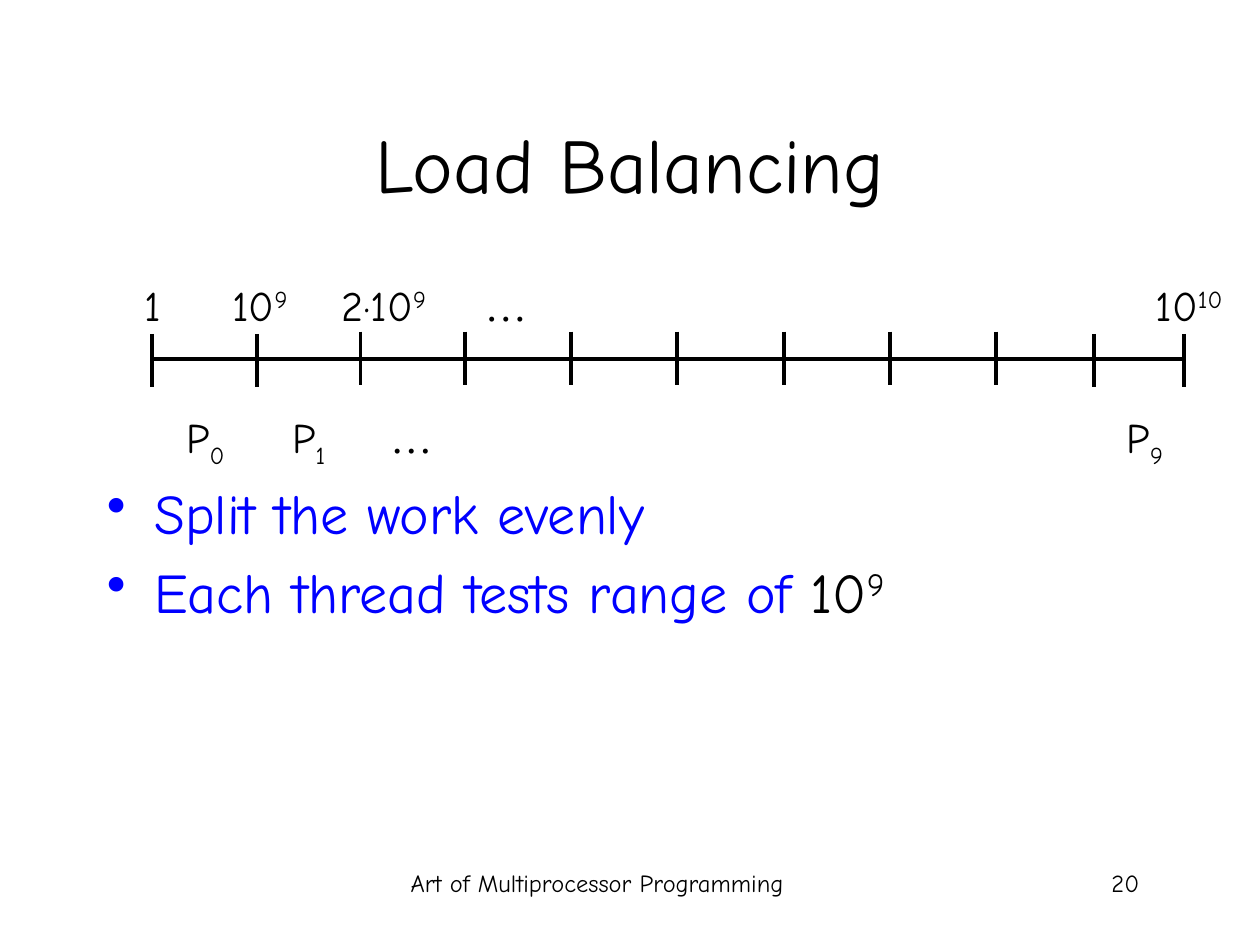
from dataclasses import dataclass

from lxml import etree
from pptx import Presentation
from pptx.dml.color import RGBColor
from pptx.enum import shapes, text
from pptx.oxml import ns
from pptx.util import Pt

BODY_FONT = "Comic Neue"
ELLIPSIS_FONT = "Times New Roman"
BLACK, BLUE = "000000", "0000FF"
SUPERSCRIPT, SUBSCRIPT = 30, -25
LEFT, CENTER, RIGHT = text.PP_ALIGN.LEFT, text.PP_ALIGN.CENTER, text.PP_ALIGN.RIGHT


@dataclass(frozen=True)
class Piece:
    """A stretch of text; baseline is its shift in percent."""
    words: str
    baseline: int = 0
    color: str = BLACK
    font: str = BODY_FONT


@dataclass(frozen=True)
class Label:
    left: float
    top: float
    width: float
    pieces: tuple[Piece, ...]
    align: text.PP_ALIGN = RIGHT
    size: float = 24


@dataclass(frozen=True)
class Tick:
    x: float
    top: float = 189.5


def rgb(color: str) -> RGBColor:
    return RGBColor.from_string(color)


def add_pieces(paragraph, pieces: tuple[Piece, ...], size: float) -> None:
    for piece in pieces:
        run = paragraph.add_run()
        run.text = piece.words
        run.font.name = piece.font
        run.font.size = Pt(size)
        run.font.color.rgb = rgb(piece.color)
        if piece.baseline:
            run._r.get_or_add_rPr().set("baseline", str(piece.baseline * 1000))


def add_label(slide, label: Label) -> None:
    box = slide.shapes.add_textbox(
        Pt(label.left), Pt(label.top), Pt(label.width), Pt(36))
    box.text_frame.word_wrap = False
    paragraph = box.text_frame.paragraphs[0]
    paragraph.alignment = label.align
    add_pieces(paragraph, label.pieces, label.size)


def add_line(slide, x1: float, y1: float, x2: float, y2: float) -> None:
    line = slide.shapes.add_connector(
        shapes.MSO_CONNECTOR.STRAIGHT, Pt(x1), Pt(y1), Pt(x2), Pt(y2))
    line.line.color.rgb = rgb(BLACK)
    line.line.width = Pt(2.25)
    etree.SubElement(line._element.spPr, ns.qn("a:effectLst"))


def add_bullet(paragraph, color: str, indent: float) -> None:
    properties = paragraph._p.get_or_add_pPr()
    properties.set("marL", str(Pt(indent)))
    properties.set("indent", str(-Pt(indent)))
    bullet_color = etree.SubElement(properties, ns.qn("a:buClr"))
    etree.SubElement(bullet_color, ns.qn("a:srgbClr"), val=color)
    etree.SubElement(properties, ns.qn("a:buChar"), char="•")


def add_title(slide, words: str) -> None:
    title = slide.shapes.title
    title.left, title.top, title.width, title.height = Pt(54), Pt(48), Pt(612), Pt(90)
    title.text_frame.vertical_anchor = text.MSO_ANCHOR.MIDDLE
    paragraph = title.text_frame.paragraphs[0]
    paragraph.alignment = CENTER
    add_pieces(paragraph, (Piece(words),), 44)


def add_bullets(slide, bullets: list[tuple[Piece, ...]]) -> None:
    box = slide.shapes.add_textbox(Pt(54), Pt(270), Pt(612), Pt(210))
    frame = box.text_frame
    frame.word_wrap = True
    for index, pieces in enumerate(bullets):
        paragraph = frame.add_paragraph() if index else frame.paragraphs[0]
        add_bullet(paragraph, BLUE, 27)
        if index:
            paragraph.space_before = Pt(6.4)
        add_pieces(paragraph, pieces, 32)


AXIS_Y = 205
TICK_HEIGHT = 30.5
LOW_TOP = 190.8
TICKS = [
    Tick(87, LOW_TOP), Tick(147, LOW_TOP), Tick(206), Tick(265.5), Tick(326.2),
    Tick(387), Tick(447.8), Tick(508.5), Tick(569.3), Tick(625, LOW_TOP),
    Tick(676.8, LOW_TOP),
]

NUMBER_TOP, THREAD_TOP = 156.2, 231.8
NINE = Piece("9", SUPERSCRIPT)
ELLIPSIS = (Piece("…", font=ELLIPSIS_FONT),)
THREAD = Piece("P")
LABELS = [
    Label(74.2, NUMBER_TOP, 25.2, (Piece("1"),)),
    Label(121.7, NUMBER_TOP, 49.7, (Piece("10"), NINE)),
    Label(180, NUMBER_TOP, 70.6, (Piece("2·10"), NINE)),
    Label(270, NUMBER_TOP, 38.2, ELLIPSIS, LEFT),
    Label(648.7, NUMBER_TOP, 56.9, (Piece("10"), Piece("10", SUPERSCRIPT))),
    Label(98.6, THREAD_TOP, 36.7, (THREAD, Piece("0", SUBSCRIPT))),
    Label(158.4, THREAD_TOP, 34.6, (THREAD, Piece("1", SUBSCRIPT))),
    Label(216, THREAD_TOP, 38.2, ELLIPSIS, LEFT),
    Label(635, THREAD_TOP, 36.7, (THREAD, Piece("9", SUBSCRIPT))),
    Label(187.2, 492.5, 308.2, (Piece("Art of Multiprocessor Programming"),), CENTER, 14),
    Label(508.3, 492.5, 149.8, (Piece("20"),), RIGHT, 14),
]

BULLETS = [
    (Piece("Split the work evenly", color=BLUE),),
    (Piece("Each thread tests range of ", color=BLUE), Piece("10"), NINE),
]


def main() -> None:
    presentation = Presentation()
    presentation.slide_width, presentation.slide_height = Pt(720), Pt(540)
    slide = presentation.slides.add_slide(presentation.slide_layouts[5])
    add_title(slide, "Load Balancing")
    add_bullets(slide, BULLETS)
    add_line(slide, TICKS[0].x, AXIS_Y, TICKS[-1].x, AXIS_Y)
    for tick in TICKS:
        add_line(slide, tick.x, tick.top, tick.x, tick.top + TICK_HEIGHT)
    for label in LABELS:
        add_label(slide, label)
    presentation.save("out.pptx")


if __name__ == "__main__":
    main()
